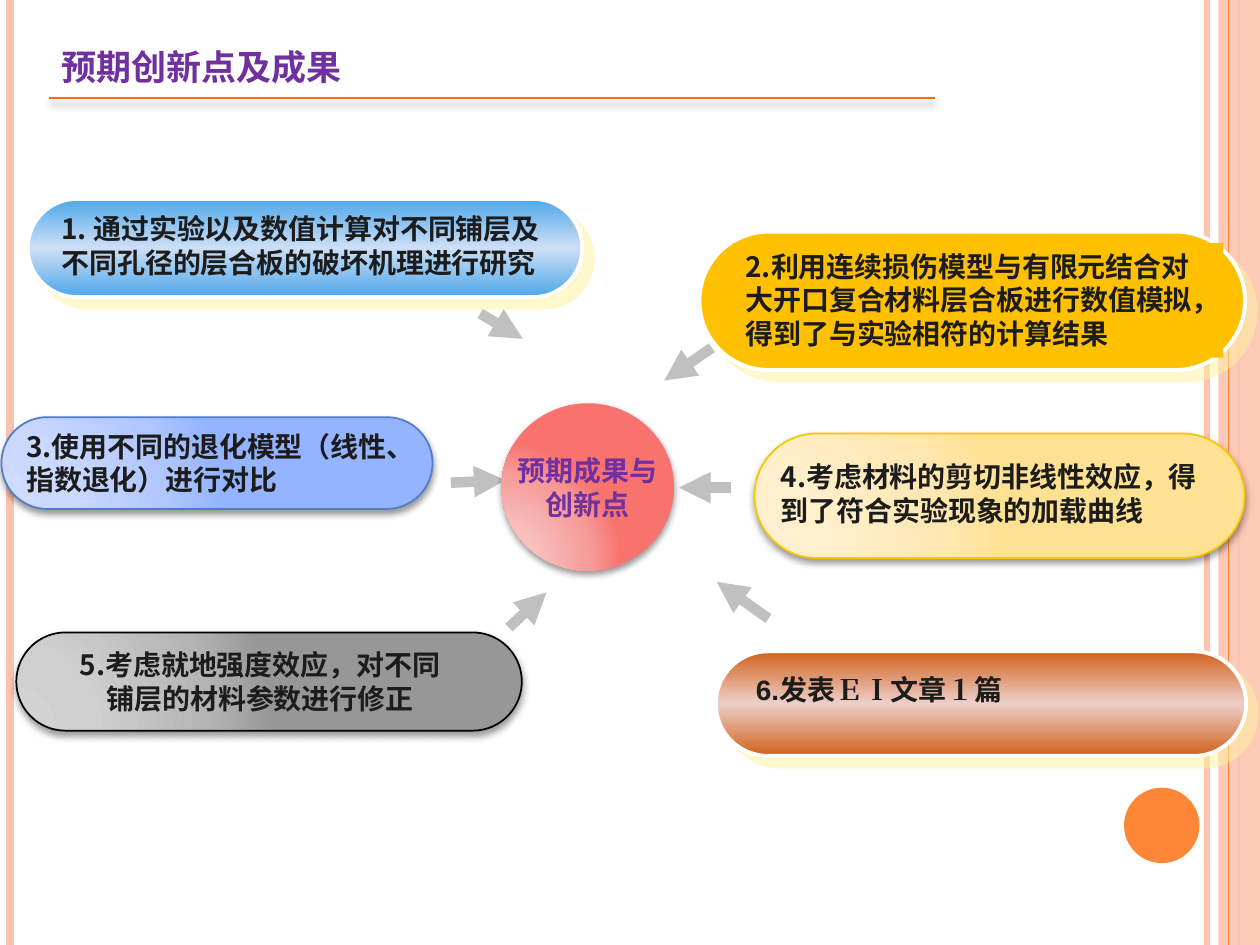
from dataclasses import dataclass

from lxml import etree
from pptx import Presentation
from pptx import util as u
from pptx.dml.color import RGBColor
from pptx.enum import shapes, text
from pptx.oxml import ns


@dataclass
class Theme:
    peach: str = "FEC3AE"
    orange: str = "FE8637"
    rule: str = "FF6B0A"
    purple: str = "7030A0"
    ink: str = "1C1C1C"
    arrow: str = "C0C0C0"
    white: str = "FFFFFF"
    black: str = "000000"
    gold: str = "FFC000"
    blue_edge: str = "4F7CCF"
    yellow_edge: str = "F8C700"
    sky: tuple = ("4EA7EA", "CDDFF6", "4EA7EA")
    rust: tuple = ("D2611C", "EDCFC9", "D2611C")
    coral: tuple = ("F8C5C3", "F8BFBD", "F69B98", "F8736E")
    blue: tuple = ("CFDCFF", "CBD9FF", "AFC6FF", "95B4FF")
    yellow: tuple = ("FFF0D1", "FFEFCC", "FFE7B1", "FFE193")
    gray: tuple = ("D3D3D3", "CFCFCF", "B4B4B4", "979797")
    title: int = 20
    body: int = 16
    sans: str = "Noto Sans CJK SC"
    latin: str = "Arial"
    serif: str = "Times New Roman"
    soft: tuple = ("000000", 40, 4, 2, 90)
    under: tuple = ("000000", 40, 4, 3, 90)
    offset: tuple = ("FFF39D", 50, 0, 8.5, 45)


theme = Theme()
drawing = ns.nsdecls("a")


def paint(item, fill=None, line=None, width=1, shadow=None):
    props = item._element.spPr
    if fill:
        item.fill.solid()
        item.fill.fore_color.rgb = RGBColor.from_string(fill if isinstance(fill, str) else fill[0])
    if isinstance(fill, tuple):
        places = (0, 50, 100) if len(fill) == 3 else (0, 30, 75, 100)
        stops = "".join(f'<a:gs pos="{place * 1000}"><a:srgbClr val="{color}"/></a:gs>'
                        for place, color in zip(places, fill))
        course = ('<a:lin ang="5400000" scaled="0"/>' if len(fill) == 3 else
                  '<a:path path="circle"><a:fillToRect l="5000" t="100000" r="120000" b="10000"/></a:path>')
        props.replace(props.find(ns.qn("a:solidFill")), etree.fromstring(
            f'<a:gradFill {drawing} rotWithShape="1"><a:gsLst>{stops}</a:gsLst>{course}</a:gradFill>'))
    if line:
        item.line.color.rgb = RGBColor.from_string(line)
        item.line.width = u.Pt(width)
    else:
        item.line.fill.background()
    effects = etree.SubElement(props, ns.qn("a:effectLst"))
    if shadow:
        color, alpha, blur, distance, angle = shadow
        effects.append(etree.fromstring(
            f'<a:outerShdw {drawing} blurRad="{u.Pt(blur)}" dist="{u.Pt(distance)}" dir="{angle * 60000}" '
            f'algn="ctr" rotWithShape="0"><a:srgbClr val="{color}"><a:alpha val="{alpha * 1000}"/>'
            '</a:srgbClr></a:outerShdw>'))


def write(frame, paragraphs, color, size=theme.body, align=text.PP_ALIGN.LEFT, wrap=True):
    frame.word_wrap = wrap
    for index, runs in enumerate(paragraphs):
        paragraph = frame.paragraphs[0] if index == 0 else frame.add_paragraph()
        paragraph.alignment = align
        for words, face in runs:
            run = paragraph.add_run()
            run.text = words
            run.font.name = face
            run.font.size = u.Pt(size)
            run.font.bold = True
            run.font.color.rgb = RGBColor.from_string(color)
            east = etree.SubElement(run._r.get_or_add_rPr(), ns.qn("a:ea"))
            east.set("typeface", face)


deck = Presentation()
deck.slide_width, deck.slide_height = u.Cm(25.4), u.Cm(19.05)
slide = deck.slides.add_slide(deck.slide_layouts[6])
parts = slide.shapes
straight = shapes.MSO_CONNECTOR.STRAIGHT
kinds = shapes.MSO_SHAPE
left, center = text.PP_ALIGN.LEFT, text.PP_ALIGN.CENTER

band = parts.add_shape(kinds.RECTANGLE, u.Cm(24.56), 0, u.Cm(0.84), deck.slide_height)
paint(band, theme.peach)
tint = band._element.spPr.find(ns.qn("a:solidFill"))[0]
etree.SubElement(tint, ns.qn("a:alpha")).set("val", "87000")
stripes = [(24.33, theme.peach, 3), (0.2, theme.peach, 4.5),
           (24.97, theme.peach, 1.5), (24.77, theme.orange, 0.75)]
for x, color, width in stripes:
    stripe = parts.add_connector(straight, u.Cm(x), 0, u.Cm(x), deck.slide_height)
    paint(stripe, line=color, width=width)
dot = parts.add_shape(kinds.OVAL, u.Cm(22.66), u.Cm(15.88), u.Cm(1.52), u.Cm(1.52))
paint(dot, theme.orange)

underline = parts.add_connector(straight, u.Cm(0.99), u.Cm(1.98), u.Cm(18.85), u.Cm(1.98))
paint(underline, line=theme.rule, shadow=theme.under)
title = parts.add_textbox(u.Cm(0.99), u.Cm(0.79), u.Cm(19.63), u.Cm(1.98))
write(title.text_frame, [[("预期创新点及成果", theme.sans)]], theme.purple, theme.title)

arrows = [
    (9.68, 6.32, 10.54, 6.83), (10.26, 12.65, 11.02, 11.94), (9.09, 9.73, 10.19, 9.68),
    (15.49, 12.47, 14.45, 11.73), (14.35, 7.01, 13.39, 7.67), (14.73, 9.83, 13.69, 9.83),
]
for ends in arrows:
    arrow = parts.add_connector(straight, *map(u.Cm, ends))
    paint(arrow, line=theme.arrow, width=6)
    stroke = arrow._element.spPr.find(ns.qn("a:ln"))
    etree.SubElement(stroke, ns.qn("a:tailEnd")).set("type", "triangle")

hub = parts.add_shape(kinds.OVAL, u.Cm(10.11), u.Cm(8.13), u.Cm(3.48), u.Cm(3.38))
paint(hub, theme.coral, shadow=theme.soft)
hub.text_frame.vertical_anchor = text.MSO_ANCHOR.MIDDLE
write(hub.text_frame, [[("预期成果与", theme.latin)], [("创新点", theme.latin)]],
      theme.purple, align=center, wrap=False)

points = [
    ((0.56, 4.01, 11.18, 1.98), theme.sky, theme.white, 2.25, theme.offset,
     (0.99, 4.14, 10.59, 2.31), left,
     [("1. 通过实验以及数值计算对不同铺层及不同孔径的层合板的破坏机理进行研究", theme.sans)]),
    ((14.1, 4.67, 11, 2.79), theme.gold, theme.white, 2.25, theme.offset,
     (14.78, 4.9, 9.88, 2.31), left,
     [("2.利用连续损伤模型与有限元结合对大开口复合材料层合板进行数值模拟，得到了与实验相符的计算结果", theme.sans)]),
    ((0.03, 8.41, 8.69, 1.85), theme.blue, theme.blue_edge, 1, theme.soft,
     (0.28, 8.53, 8.23, 1.63), left,
     [("3.使用不同的退化模型（线性、指数退化）进行对比", theme.sans)]),
    ((15.21, 8.74, 9.88, 2.51), theme.yellow, theme.yellow_edge, 1, theme.soft,
     (15.49, 9.14, 9.22, 1.63), left,
     [("4.考虑材料的剪切非线性效应，得到了符合实验现象的加载曲线", theme.sans)]),
    ((0.33, 12.75, 10.19, 1.98), theme.gray, theme.black, 1, theme.soft,
     (1.09, 12.93, 8.31, 1.63), center,
     [("5.考虑就地强度效应，对不同铺层的材料参数进行修正", theme.sans)]),
    ((14.43, 13.13, 10.69, 2.11), theme.rust, theme.white, 2.25, theme.offset,
     (14.99, 13.44, 9.73, 0.94), left,
     [("6.发表", theme.latin), ("ＥＩ", theme.serif), ("文章", theme.latin),
      ("１", theme.serif), ("篇", theme.latin)]),
]
for pill_box, fill, line, width, shadow, words_box, align, runs in points:
    pill = parts.add_shape(kinds.ROUNDED_RECTANGLE, *map(u.Cm, pill_box))
    pill.adjustments[0] = 0.5
    paint(pill, fill, line, width, shadow)
    words = parts.add_textbox(*map(u.Cm, words_box))
    if fill == theme.gold:
        paint(words, theme.gold)
    write(words.text_frame, [runs], theme.ink, align=align)

deck.save("out.pptx")
